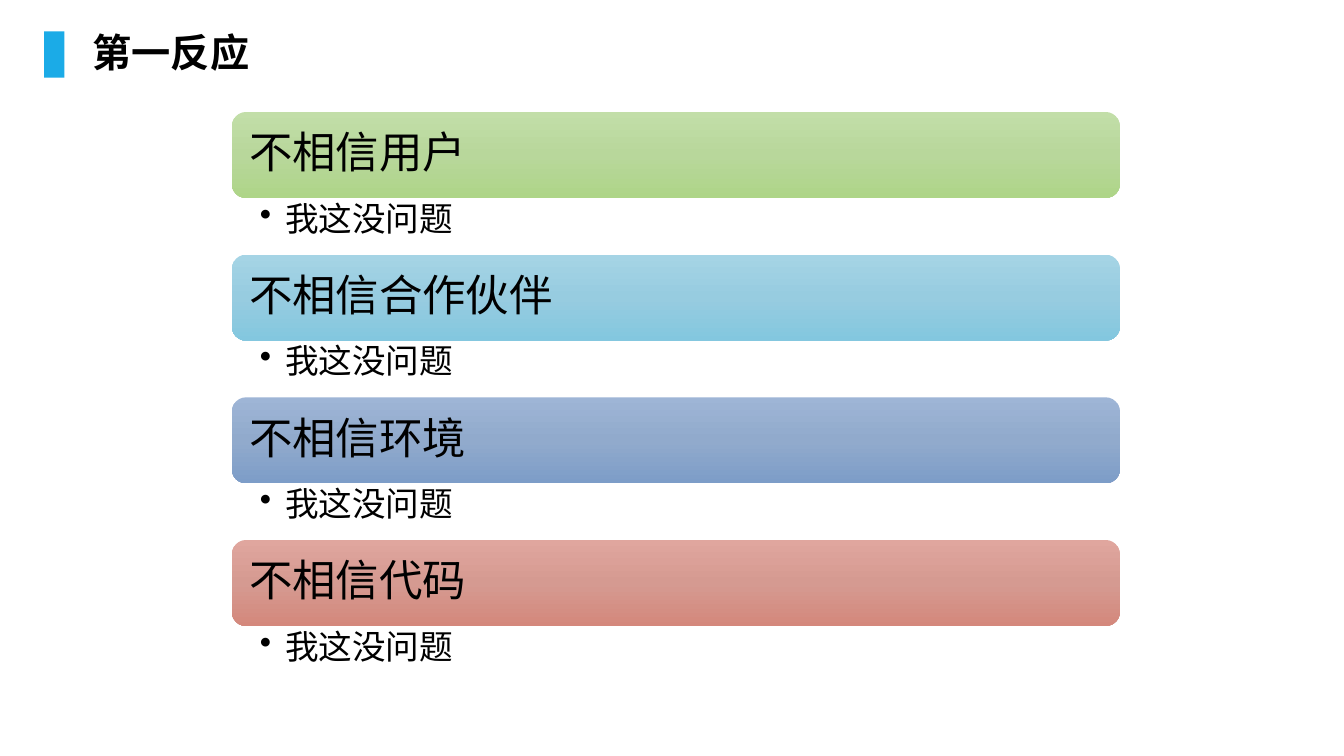
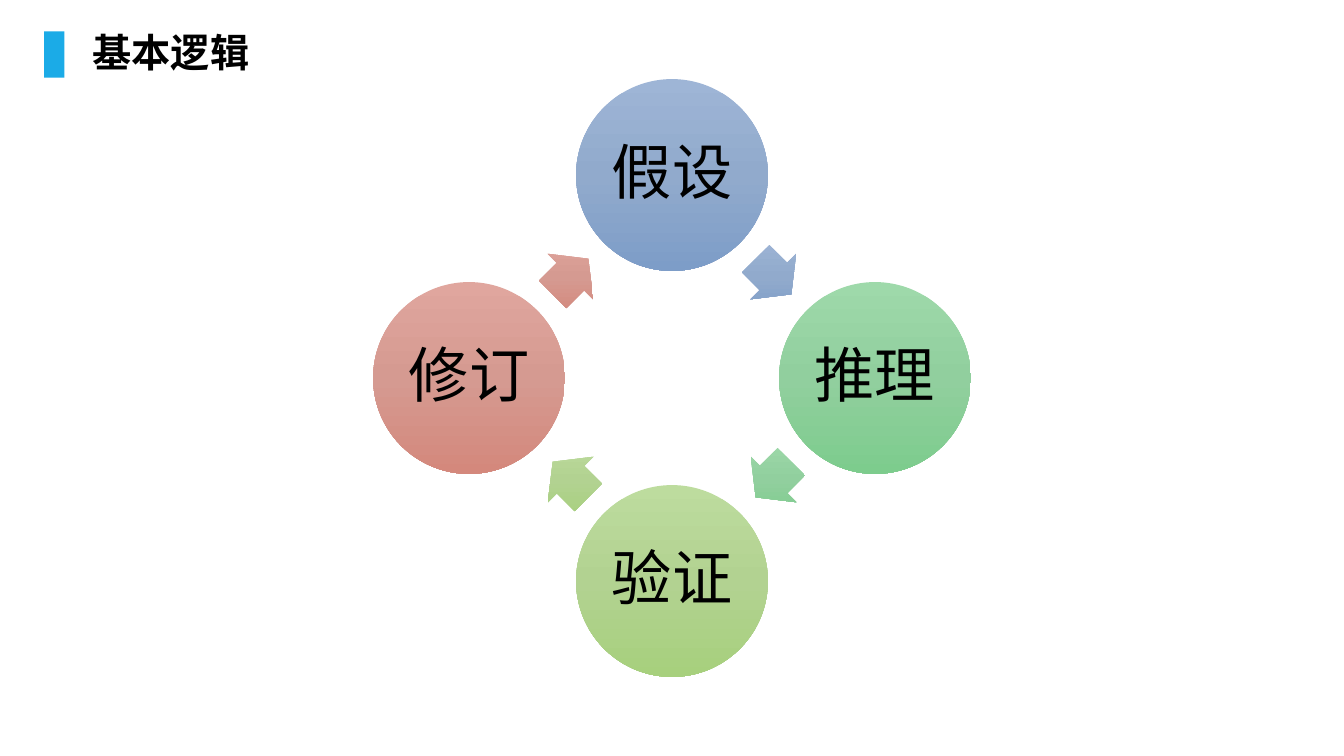
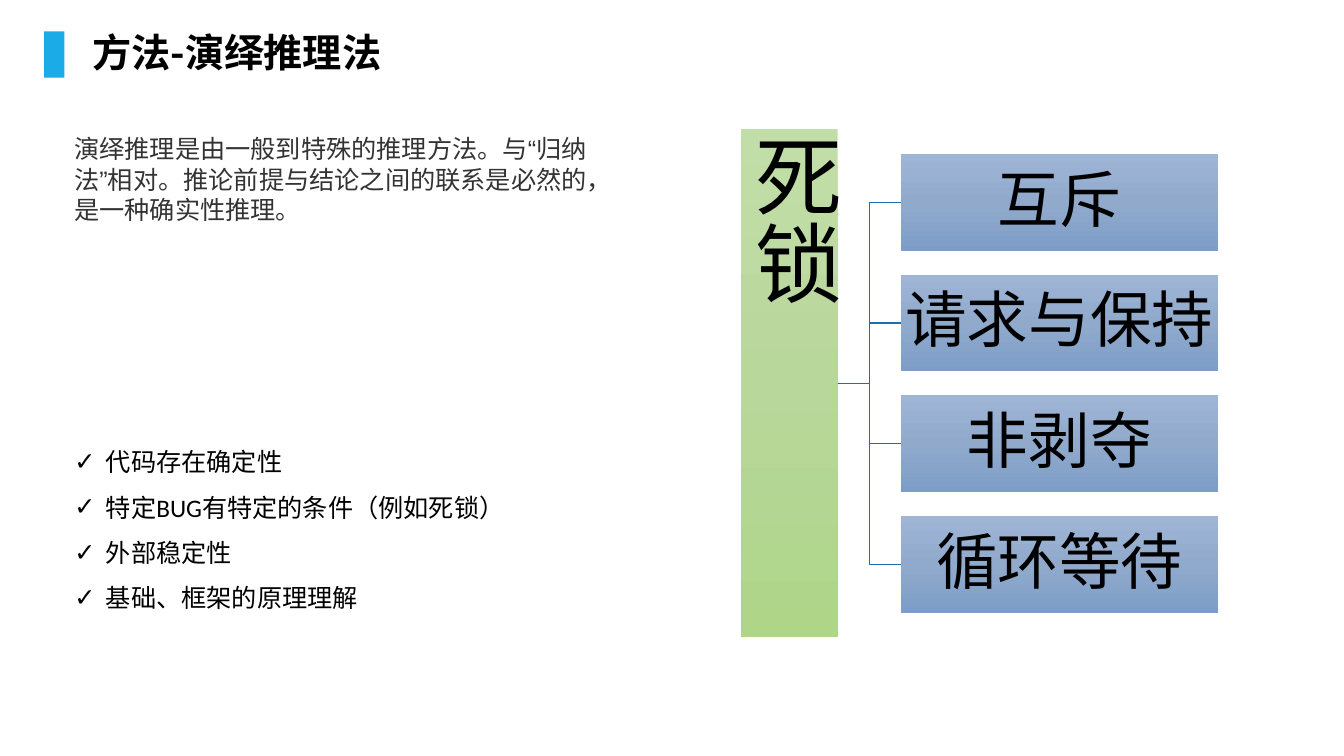
from copy import deepcopy
from dataclasses import dataclass
from math import cos, radians, sin

from lxml.etree import SubElement
from pptx import Presentation
from pptx.dml.color import RGBColor
from pptx.enum.lang import MSO_LANGUAGE_ID
from pptx.enum.shapes import MSO_CONNECTOR, MSO_SHAPE
from pptx.enum.text import MSO_ANCHOR, MSO_AUTO_SIZE, PP_ALIGN
from pptx.oxml.ns import qn
from pptx.util import Pt


@dataclass(frozen=True)
class Theme:
    # Colours; ramps run from top to bottom
    accent: str = "1BABE7"
    ink: str = "000000"
    grey: str = "333333"
    bracket: str = "1D6FA9"
    pale_lime: tuple = ("C2DEA8", "B8D79B", "AED588")
    lime: tuple = ("BDDC9E", "B2D291", "A7D07D")
    sky: tuple = ("A5D4E5", "97CCE0", "83C7DF")
    blue: tuple = ("9EB5D6", "91AACC", "7D9DC8")
    green: tuple = ("9ED9AA", "91CF9E", "7DCC8D")
    red: tuple = ("E0A69E", "D59A91", "D4887C")
    # Fonts and type sizes
    title_font: str = "Noto Sans CJK SC"
    body_font: str = "Calibri"
    prose_font: str = "Arial"
    title: int = 28
    band: int = 31
    remark: int = 24
    step: int = 43
    cause: int = 44
    root: int = 62
    prose: int = 18


theme = Theme()


def write(shape, lines, size, font=theme.body_font, color=theme.ink, bold=False,
          align=PP_ALIGN.LEFT, spacing=0.9, anchor=MSO_ANCHOR.MIDDLE,
          insets=(7.2, 3.6, 7.2, 3.6), bullet=None, indent=0):
    frame = shape.text_frame
    sides = ("margin_left", "margin_top", "margin_right", "margin_bottom")
    frame_format = dict(zip(sides, map(Pt, insets)), word_wrap=True,
                        auto_size=MSO_AUTO_SIZE.NONE, vertical_anchor=anchor)
    for name, value in frame_format.items():
        setattr(frame, name, value)
    for number, line in enumerate(lines):
        paragraph = frame.add_paragraph() if number else frame.paragraphs[0]
        run = paragraph.add_run()
        run.text = line
        paragraph_format = {"alignment": align, "line_spacing": spacing,
                            "space_before": Pt(0), "space_after": Pt(0)}
        for name, value in paragraph_format.items():
            setattr(paragraph, name, value)
        font_format = {"size": Pt(size), "name": font, "bold": bold,
                       "language_id": MSO_LANGUAGE_ID.SIMPLIFIED_CHINESE}
        for name, value in font_format.items():
            setattr(run.font, name, value)
        run.font.color.rgb = RGBColor.from_string(color)
        SubElement(run.font._element, qn("a:ea"), typeface=font)
        if bullet:
            properties = paragraph._p.get_or_add_pPr()
            properties.set("marL", str(Pt(indent)))
            properties.set("indent", str(-Pt(indent)))
            SubElement(properties, qn("a:buChar"), char=bullet)


def add_ramp_shape(slide, kind, left, top, width, height, ramp):
    shape = slide.shapes.add_shape(kind, Pt(left), Pt(top), Pt(width), Pt(height))
    shape.shadow.inherit = False
    shape.line.fill.background()
    shape.fill.gradient()
    shape.fill.gradient_angle = 270
    gradient = shape._element.spPr.find(qn("a:gradFill"))
    gradient.set("rotWithShape", "0")
    first_stop = gradient.find(qn("a:gsLst"))[0]
    first_stop.addnext(deepcopy(first_stop))
    for stop, position, color in zip(shape.fill.gradient_stops, (0, 0.5, 1), ramp):
        stop.position = position
        stop.color.rgb = RGBColor.from_string(color)
    return shape


deck = Presentation()
deck.slide_width, deck.slide_height = Pt(960), Pt(540)

# Shared heading: accent block and title on every slide
TITLE_ONLY, TITLE_AND_BODY = 5, 1
slides = []
for heading, layout in (("第一反应", TITLE_ONLY), ("基本逻辑", TITLE_ONLY),
                        ("方法-演绎推理法", TITLE_AND_BODY)):
    slide = deck.slides.add_slide(deck.slide_layouts[layout])
    accent = slide.shapes.add_shape(MSO_SHAPE.RECTANGLE, Pt(31.5), Pt(22.5), Pt(14.5), Pt(33))
    accent.shadow.inherit = False
    accent.fill.solid()
    accent.fill.fore_color.rgb = RGBColor.from_string(theme.accent)
    accent.line.fill.background()
    title = slide.shapes.title
    title.left, title.top, title.width, title.height = Pt(59), Pt(10), Pt(387), Pt(58)
    write(title, [heading], theme.title, font=theme.title_font, bold=True)
    slides.append(slide)
reaction, logic, deduction = slides

# Slide 1: bands, each with a remark below
BAND_LEFT, BAND_WIDTH, BAND_HEIGHT = 165.6, 634.4, 61.4
for row, (target, ramp) in enumerate((("用户", theme.pale_lime), ("合作伙伴", theme.sky),
                                      ("环境", theme.blue), ("代码", theme.red))):
    top = 80 + 101.9 * row
    band = add_ramp_shape(reaction, MSO_SHAPE.ROUNDED_RECTANGLE,
                          BAND_LEFT, top, BAND_WIDTH, BAND_HEIGHT, ramp)
    write(band, ["不相信" + target], theme.band, insets=(9.4,) * 4)
    remark = reaction.shapes.add_textbox(Pt(BAND_LEFT), Pt(top + BAND_HEIGHT),
                                         Pt(BAND_WIDTH), Pt(40.5))
    write(remark, ["我这没问题"], theme.remark, anchor=MSO_ANCHOR.TOP,
          insets=(20, 3, 17, 3), bullet="•", indent=18)

# Slide 2: cycle of steps, clockwise from the top
CENTER_X, CENTER_Y = 480, 270
STEP_ORBIT, ARROW_ORBIT = 145, 102.5
STEP_SIZE, ARROW_WIDTH, ARROW_HEIGHT = 137, 36, 46
for number, (name, ramp) in enumerate((("假设", theme.blue), ("推理", theme.green),
                                       ("验证", theme.lime), ("修订", theme.red))):
    angle = 90 * number - 90
    step_x = CENTER_X + STEP_ORBIT * cos(radians(angle))
    step_y = CENTER_Y + STEP_ORBIT * sin(radians(angle))
    step = add_ramp_shape(logic, MSO_SHAPE.OVAL, step_x - STEP_SIZE / 2,
                          step_y - STEP_SIZE / 2, STEP_SIZE, STEP_SIZE, ramp)
    write(step, [name], theme.step, align=PP_ALIGN.CENTER, insets=(4,) * 4)
    arrow_x = CENTER_X + ARROW_ORBIT * cos(radians(angle + 45))
    arrow_y = CENTER_Y + ARROW_ORBIT * sin(radians(angle + 45))
    arrow = add_ramp_shape(logic, MSO_SHAPE.RIGHT_ARROW, arrow_x - ARROW_WIDTH / 2,
                           arrow_y - ARROW_HEIGHT / 2, ARROW_WIDTH, ARROW_HEIGHT, ramp)
    arrow.adjustments[0] = 0.6
    arrow.rotation = angle + 135

# Slide 3: definition and checklist
definition = deduction.shapes.add_textbox(Pt(46), Pt(92), Pt(393), Pt(73))
write(definition, ["演绎推理是由一般到特殊的推理方法。与“归纳法”相对。"
                   "推论前提与结论之间的联系是必然的，是一种确实性推理。"],
      theme.prose, font=theme.prose_font, color=theme.grey, spacing=1.0,
      anchor=MSO_ANCHOR.TOP)
checklist = deduction.placeholders[1]
checklist.left, checklist.top, checklist.width, checklist.height = Pt(46), Pt(304.5), Pt(439), Pt(138)
write(checklist, ["代码存在确定性", "特定BUG有特定的条件（例如死锁）",
                  "外部稳定性", "基础、框架的原理理解"],
      theme.prose, spacing=1.5, anchor=MSO_ANCHOR.TOP, bullet="✓", indent=22.5)

# Slide 3: deadlock and its four conditions
deadlock = add_ramp_shape(deduction, MSO_SHAPE.RECTANGLE, 529.3, 92.3, 69, 363, theme.pale_lime)
write(deadlock, ["死锁"], theme.root, align=PP_ALIGN.CENTER, insets=(3,) * 4)
deadlock.text_frame._txBody.bodyPr.set("vert", "eaVert")
RIGHT_SITE, LEFT_SITE = 3, 1
for row, name in enumerate(("互斥", "请求与保持", "非剥夺", "循环等待")):
    condition = add_ramp_shape(deduction, MSO_SHAPE.RECTANGLE,
                               643.7, 110 + 86.2 * row, 226.2, 69, theme.blue)
    write(condition, [name], theme.cause, align=PP_ALIGN.CENTER, insets=(2,) * 4)
    branch = deduction.shapes.add_connector(MSO_CONNECTOR.ELBOW, 0, 0, 0, 0)
    branch.begin_connect(deadlock, RIGHT_SITE)
    branch.end_connect(condition, LEFT_SITE)
    branch.line.color.rgb = RGBColor.from_string(theme.bracket)
    branch.line.width = Pt(1)
    SubElement(branch._element.spPr, qn("a:effectLst"))

deck.save("out.pptx")
